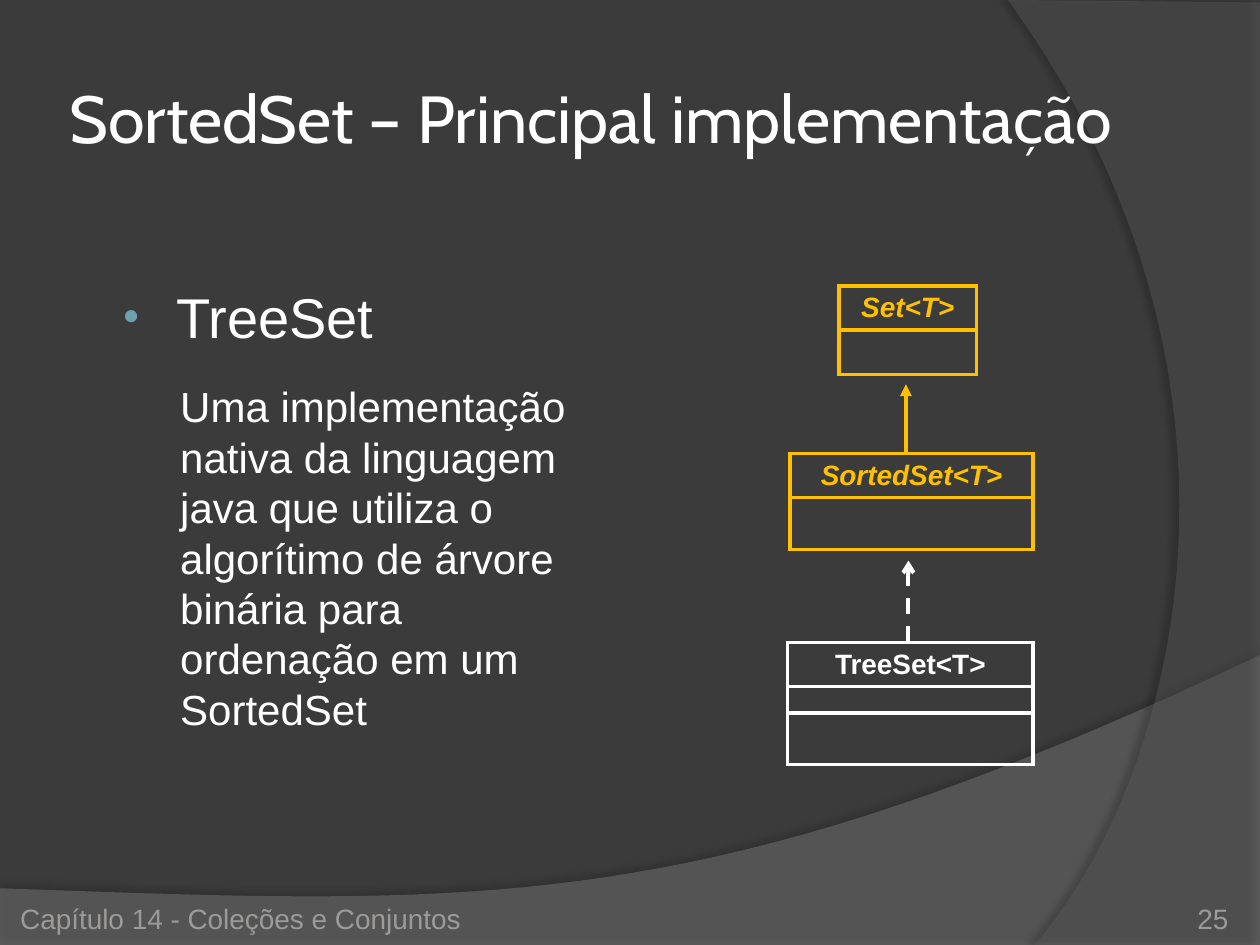
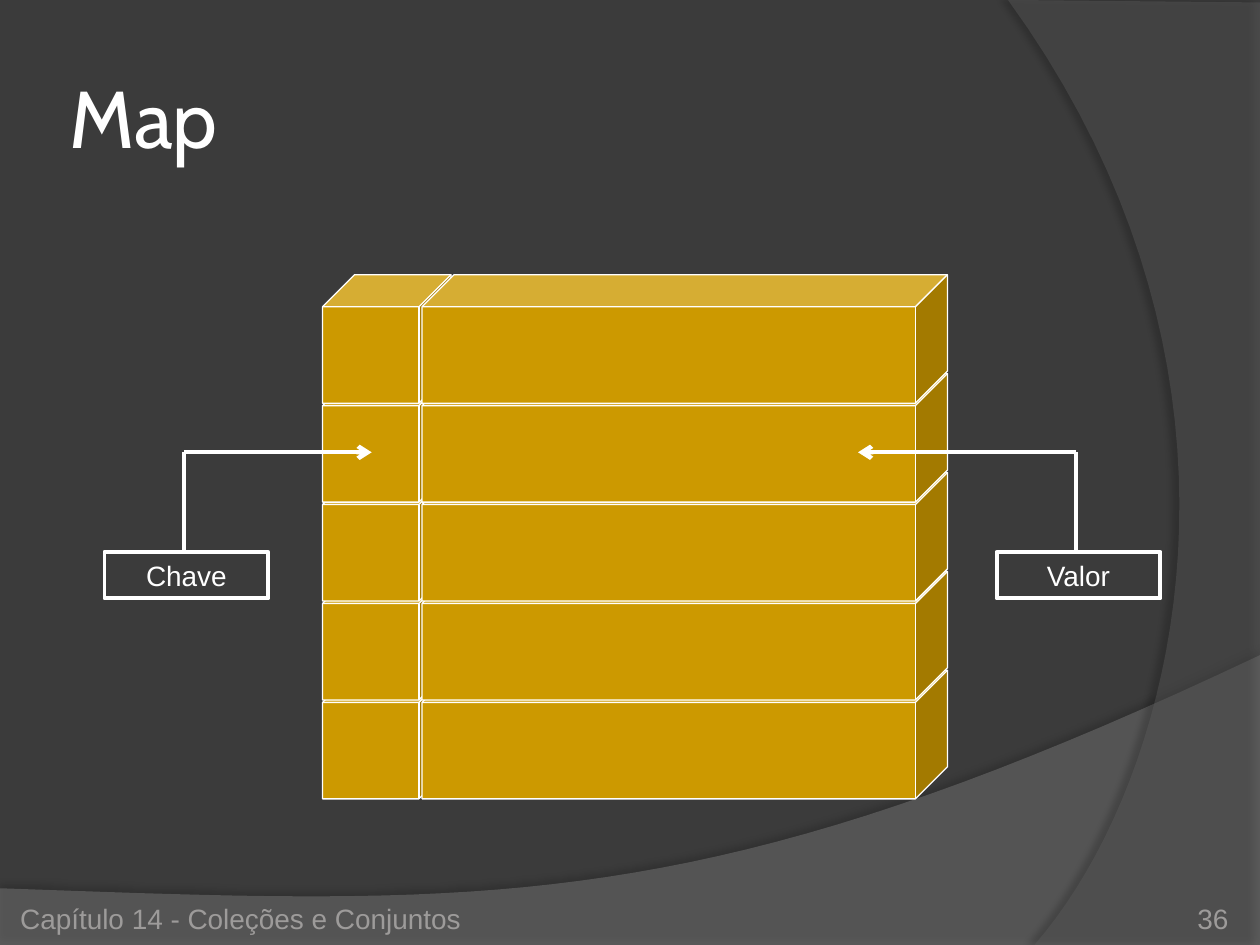
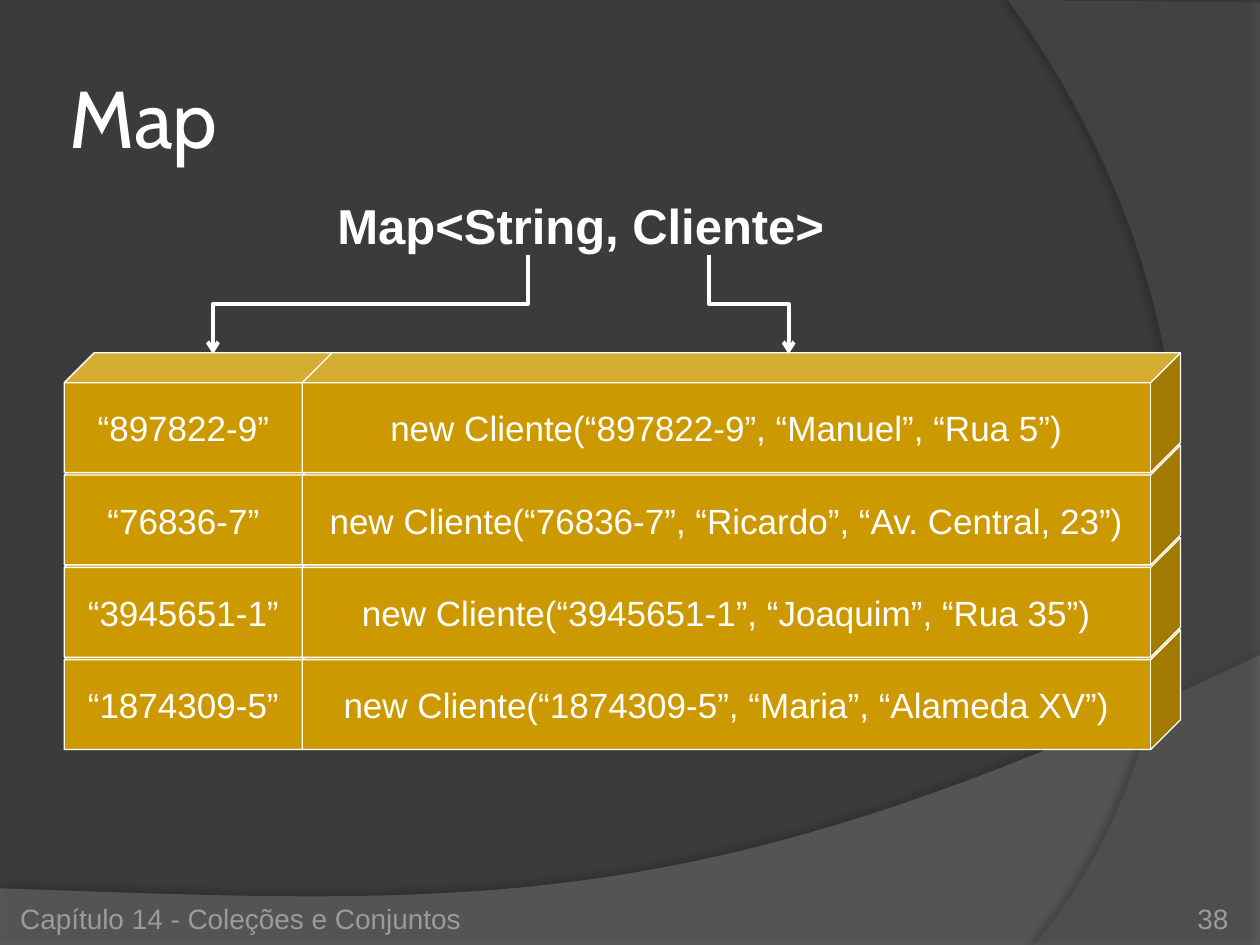
from dataclasses import dataclass
from typing import Any, NamedTuple

from lxml.etree import SubElement
from pptx import Presentation
from pptx.dml.color import RGBColor
from pptx.enum.dml import MSO_LINE_DASH_STYLE as Dash
from pptx.enum.shapes import MSO_CONNECTOR as Conn, MSO_SHAPE as Shape
from pptx.enum.text import MSO_ANCHOR as Anchor, MSO_AUTO_SIZE as AutoSize, PP_ALIGN as Align
from pptx.oxml.ns import qn
from pptx.util import Emu, Inches, Pt

COLORS = {
    "back": "3B3B3B",
    "floor": "7F7F7F",
    "side": "5E5E5E",
    "shadow": "000000",
    "text": "FFFFFF",
    "footer": "9D9B9A",
    "bullet": "6EA0B0",
    "interface": "FFC000",
    "cube": "CC9900",
}
BODY_FONT, TITLE_FONT = "Arial", "Cabin"
COLS, ROWS = 100, 75
CELL = Inches(10) // COLS
FOOTER = "Capítulo 14 - Coleções e Conjuntos"
LAYOUT_BODY, LAYOUT_TITLE = 1, 5


class Point(NamedTuple):
    x: float
    y: float

    def emu(self) -> tuple[Emu, Emu]:
        return grid(self.x), grid(self.y)


class Box(NamedTuple):
    x: float
    y: float
    w: float
    h: float

    def emu(self) -> list[Emu]:
        return [grid(v) for v in self]


@dataclass(frozen=True)
class Band:
    color: str
    alpha: int
    corners: tuple[Point, ...]
    curve: tuple[Point, Point, Point, Point]
    shadow_alpha: int
    shadow_distance: float
    shadow_angle: int


@dataclass(frozen=True)
class ClassBox:
    name: str
    x: float
    y: float
    width: float
    heights: tuple[float, ...]
    color: str
    italic: bool = False


@dataclass(frozen=True)
class CubeStack:
    x: float
    y: float
    key_width: float
    value_x: float
    value_width: float
    height: float
    pitch: float
    rows: tuple[tuple[str, str], ...]


@dataclass(frozen=True)
class Callout:
    label: str
    x: float
    corner_x: float
    tip_x: float


BANDS = (
    Band("floor", 45, (Point(0, 70.5), Point(0, ROWS), Point(COLS, ROWS)),
         (Point(COLS, 52), Point(55.9, 72.9), Point(39.1, 71.9), Point(0, 70.5)), 35, 3.5, 270),
    Band("side", 40, (Point(COLS, 0.2), Point(COLS, ROWS)),
         (Point(82.1, ROWS), Point(93.5, 61.9), Point(101.8, 30), Point(80, 0)), 45, 4, 180),
)
CLASSES = (
    ClassBox("Set<T>", 66.6, 22.7, 10.9, (3.5, 3.5), "interface", True),
    ClassBox("SortedSet<T>", 62.7, 36, 19.3, (3.5, 4.1), "interface", True),
    ClassBox("TreeSet<T>", 62.5, 51, 19.5, (3.5, 2.1, 4.1), "text"),
)
MAP_STACK = CubeStack(25.6, 21.8, 10.2, 33.5, 41.7, 10.2, 7.85, (("", ""),) * 5)
CLIENT_STACK = CubeStack(5.1, 28, 21.3, 24, 69.7, 9.5, 7.33, (
    ("“897822-9”", "new Cliente(“897822-9”, “Manuel”, “Rua 5”)"),
    ("“76836-7”", "new Cliente(“76836-7”, “Ricardo”, “Av. Central, 23”)"),
    ("“3945651-1”", "new Cliente(“3945651-1”, “Joaquim”, “Rua 35”)"),
    ("“1874309-5”", "new Cliente(“1874309-5”, “Maria”, “Alameda XV”)"),
))
CALLOUTS = (Callout("Chave", 8.3, 14.6, 29.5), Callout("Valor", 79.1, 85.4, 68.1))
CALLOUT_TIP_Y, CALLOUT_BOX_Y = 35.9, 43.8


def grid(cells: float) -> Emu:
    return Emu(round(cells * CELL))


def rgb(name: str) -> RGBColor:
    return RGBColor.from_string(COLORS[name])


def apply(obj: Any, **values: Any) -> None:
    for name, value in values.items():
        setattr(obj, name, value)


def margins(obj: Any, left: float, top: float, right: float, bottom: float) -> None:
    apply(obj, margin_left=grid(left), margin_top=grid(top),
          margin_right=grid(right), margin_bottom=grid(bottom))


def write(p: Any, text: str, size: float, color: str = "text", font: str = BODY_FONT,
          align: Align = Align.LEFT, **style: Any) -> None:
    apply(p, alignment=align, space_before=Pt(0))
    r = p.add_run()
    r.text = text
    apply(r.font, name=font, size=Pt(size), **style)
    r.font.color.rgb = rgb(color)


def add_xml(parent: Any, tag: str, **attrs: Any) -> Any:
    return SubElement(parent, qn(tag), {k: str(v) for k, v in attrs.items()})


def add_text(s: Any, box: Box, text: str, size: float, **style: Any) -> Any:
    tf = s.shapes.add_textbox(*box.emu()).text_frame
    apply(tf, word_wrap=True, vertical_anchor=Anchor.MIDDLE)
    write(tf.paragraphs[0], text, size, **style)
    return tf


def add_box(s: Any, kind: Shape, box: Box, weight: float, fill: str = "") -> Any:
    sp = s.shapes.add_shape(kind, *box.emu())
    sp.shadow.inherit = False
    if fill:
        sp.fill.solid()
        sp.fill.fore_color.rgb = rgb(fill)
    else:
        sp.fill.background()
    sp.line.color.rgb = rgb("text")
    sp.line.width = Pt(weight)
    return sp


def add_line(s: Any, start: Point, end: Point, weight: float, color: str = "text",
             arrow: str = "", kind: Conn = Conn.STRAIGHT, dashed: bool = False) -> Any:
    c = s.shapes.add_connector(kind, *start.emu(), *end.emu())
    c.line.color.rgb = rgb(color)
    c.line.width = Pt(weight)
    if dashed:
        c.line.dash_style = Dash.DASH
    if arrow:
        add_xml(c.element.spPr.find(qn("a:ln")), "a:tailEnd", type=arrow)
    add_xml(c.element.spPr, "a:effectLst")
    return c


def add_drop(s: Any, start: Point, end: Point) -> None:
    mid = Point((start.x + end.x) / 2, (start.y + end.y) / 2)
    dx, dy = (end.x - start.x) / 2, (end.y - start.y) / 2
    c = add_line(s, Point(mid.x - dy, mid.y + dx), Point(mid.x + dy, mid.y - dx),
                 2.25, arrow="arrow", kind=Conn.ELBOW)
    c.element.spPr.find(qn("a:xfrm")).set("rot", str(90 * 60000))


def bezier(a: Point, b: Point, c: Point, d: Point, steps: int = 40) -> list[Point]:
    def at(t: float) -> Point:
        u = 1 - t
        return Point(*(u**3 * p + 3 * u * u * t * q + 3 * u * t * t * v + t**3 * w
                       for p, q, v, w in zip(a, b, c, d)))
    return [at(i / steps) for i in range(steps + 1)]


def add_band(s: Any, band: Band) -> Any:
    start, *rest = [*band.corners, *bezier(*band.curve)]
    builder = s.shapes.build_freeform(*start.emu(), scale=1.0)
    builder.add_line_segments([p.emu() for p in rest], close=True)
    sp = builder.convert_to_shape()
    sp.fill.solid()
    sp.fill.fore_color.rgb = rgb(band.color)
    sp.line.fill.background()
    sppr = sp.element.spPr
    add_xml(sppr.find(qn("a:solidFill"))[0], "a:alpha", val=band.alpha * 1000)
    shadow = add_xml(add_xml(sppr, "a:effectLst"), "a:outerShdw", blurRad=Pt(4),
                     dist=Pt(band.shadow_distance), dir=band.shadow_angle * 60000,
                     algn="ctr", rotWithShape=0)
    tint = add_xml(shadow, "a:srgbClr", val=COLORS["shadow"])
    add_xml(tint, "a:alpha", val=band.shadow_alpha * 1000)
    return sp


def build_master(prs: Any, s: Any) -> None:
    master = prs.slide_master
    master.background.fill.solid()
    master.background.fill.fore_color.rgb = rgb("back")
    for i, band in enumerate(BANDS):
        sp = add_band(s, band)
        sp.element.nvSpPr.cNvPr.set("id", str(100 + i))
        master.shapes.element.insert(2 + i, sp.element)


def add_slide(prs: Any, layout: int, title: str, size: float, number: int) -> Any:
    s = prs.slides.add_slide(prs.slide_layouts[layout])
    sp = s.shapes.title
    sp.left, sp.top, sp.width, sp.height = Box(5, 3, 89, 12.5).emu()
    tf = sp.text_frame
    apply(tf, word_wrap=True, vertical_anchor=Anchor.MIDDLE, auto_size=AutoSize.NONE)
    margins(tf, 0.5, 0.5, 0.5, 0.5)
    write(tf.paragraphs[0], title, size, font=TITLE_FONT)
    for box, text, align, top in (
        (Box(1.6, 70.2, 62.5, 4), FOOTER, Align.LEFT, 0.5),
        (Box(89.2, 70.2, 8.3, 4), str(number), Align.RIGHT, 0),
    ):
        tf = add_text(s, box, text, 16, color="footer", align=align)
        tf.vertical_anchor = Anchor.BOTTOM
        margins(tf, 0, top, 0, 0)
    return s


def add_class(s: Any, spec: ClassBox) -> None:
    box = Box(spec.x, spec.y, spec.width, sum(spec.heights))
    table = s.shapes.add_table(len(spec.heights), 1, *box.emu()).table
    apply(table, first_row=False, horz_banding=False)
    for i, height in enumerate(spec.heights):
        table.rows[i].height = grid(height)
        cell = table.cell(i, 0)
        margins(cell, 0.5, 0, 0.5, 0)
        cell.vertical_anchor = Anchor.MIDDLE
        tcpr = cell._tc.get_or_add_tcPr()
        for side in ("a:lnL", "a:lnR", "a:lnT", "a:lnB"):
            fill = add_xml(add_xml(tcpr, side, w=Pt(2.25)), "a:solidFill")
            add_xml(fill, "a:srgbClr", val=COLORS[spec.color])
        cell.fill.background()
        p = cell.text_frame.paragraphs[0]
        if i == 0:
            write(p, spec.name, 16, spec.color, align=Align.CENTER,
                  bold=True, italic=spec.italic)
        else:
            add_xml(p._p, "a:endParaRPr", sz=1000)


def add_stack(s: Any, stack: CubeStack) -> None:
    for i, texts in reversed(list(enumerate(stack.rows))):
        y = stack.y + i * stack.pitch
        spans = ((stack.x, stack.key_width), (stack.value_x, stack.value_width))
        for (x, width), text in zip(spans, texts):
            sp = add_box(s, Shape.CUBE, Box(x, y, width, stack.height), 0.75, "cube")
            sp.adjustments[0] = 0.25
            if text:
                tf = sp.text_frame
                apply(tf, word_wrap=False, vertical_anchor=Anchor.MIDDLE)
                write(tf.paragraphs[0], text, 20, align=Align.CENTER)


def add_callout(s: Any, call: Callout) -> None:
    sp = add_box(s, Shape.RECTANGLE, Box(call.x, CALLOUT_BOX_Y, 13, 3.7), 2.25)
    sp.text_frame.vertical_anchor = Anchor.MIDDLE
    write(sp.text_frame.paragraphs[0], call.label, 16, align=Align.CENTER)
    corner = Point(call.corner_x, CALLOUT_TIP_Y)
    add_line(s, corner, Point(call.tip_x, CALLOUT_TIP_Y), 2.5, arrow="arrow")
    add_line(s, corner, Point(call.corner_x, CALLOUT_BOX_Y), 2.5)


def fill_body(s: Any) -> None:
    sp = s.placeholders[1]
    sp.left, sp.top, sp.width, sp.height = Box(8.4, 21.9, 40, 40.7).emu()
    tf = sp.text_frame
    apply(tf, word_wrap=True, auto_size=AutoSize.NONE)
    head, detail = tf.paragraphs[0], tf.add_paragraph()
    detail.level = 1
    for p, margin, indent in ((head, 4.6, -4.2), (detail, 4.9, 0)):
        apply_indent = p._p.get_or_add_pPr()
        apply_indent.set("marL", str(grid(margin)))
        apply_indent.set("indent", str(grid(indent)))
    ppr = head._p.get_or_add_pPr()
    add_xml(add_xml(ppr, "a:buClr"), "a:srgbClr", val=COLORS["bullet"])
    add_xml(ppr, "a:buSzPct", val=80000)
    add_xml(ppr, "a:buFont", typeface=BODY_FONT)
    add_xml(ppr, "a:buChar", char="•")
    add_xml(detail._p.get_or_add_pPr(), "a:buNone")
    write(head, "TreeSet", 32)
    write(detail, "Uma implementação nativa da linguagem java que utiliza o algorítimo de "
          "árvore binária para ordenação em um SortedSet", 24)
    detail.space_before = Pt(18)


def build_sorted_set(prs: Any) -> Any:
    s = add_slide(prs, LAYOUT_BODY, "SortedSet – Principal implementação", 38, 25)
    fill_body(s)
    for spec in CLASSES:
        add_class(s, spec)
    add_line(s, Point(71.9, 36), Point(71.9, 30.5), 2.25, "interface", "triangle")
    add_line(s, Point(72.1, 50.9), Point(72.1, 44.5), 2.25, arrow="arrow", dashed=True)
    return s


def build_map(prs: Any) -> None:
    s = add_slide(prs, LAYOUT_TITLE, "Map", 46, 36)
    add_stack(s, MAP_STACK)
    for call in CALLOUTS:
        add_callout(s, call)


def build_client_map(prs: Any) -> None:
    s = add_slide(prs, LAYOUT_TITLE, "Map", 46, 38)
    add_stack(s, CLIENT_STACK)
    add_text(s, Box(20.1, 14.7, 52, 6.3), "Map<String, Cliente>", 28,
             align=Align.CENTER, bold=True)
    for start_x, end_x in ((56.3, 62.6), (41.9, 16.9)):
        add_drop(s, Point(start_x, 20.2), Point(end_x, 28.1))


def main() -> None:
    prs = Presentation()
    prs.slide_width, prs.slide_height = grid(COLS), grid(ROWS)
    build_master(prs, build_sorted_set(prs))
    build_map(prs)
    build_client_map(prs)
    prs.save("out.pptx")


if __name__ == "__main__":
    main()
